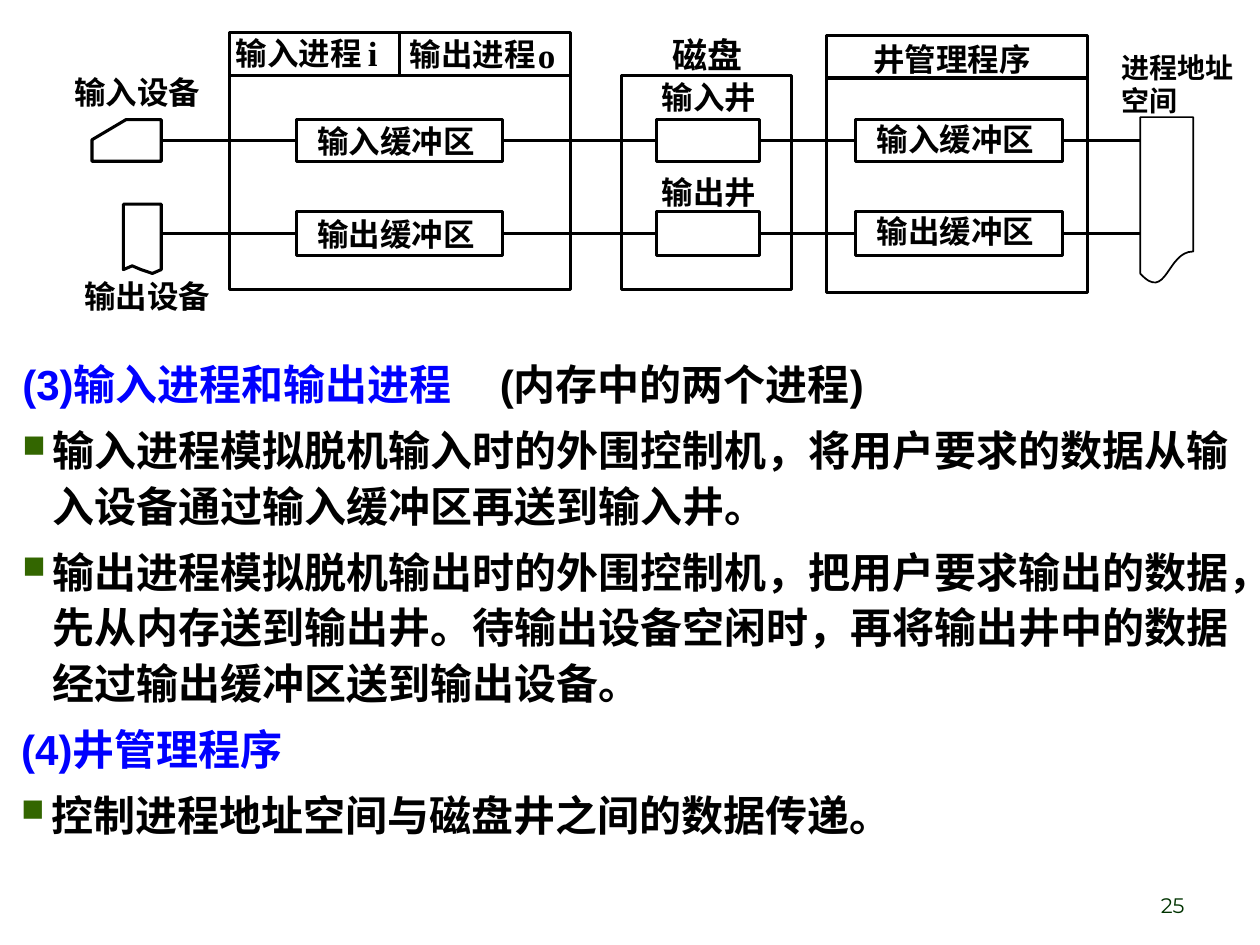
from dataclasses import dataclass

from lxml.etree import SubElement
from pptx import Presentation
from pptx.dml.color import RGBColor
from pptx.enum.shapes import MSO_CONNECTOR as Connector, MSO_SHAPE as Shape
from pptx.enum.text import MSO_ANCHOR as Anchor, PP_ALIGN as Align
from pptx.oxml.ns import qn
from pptx.util import Inches, Pt


@dataclass(frozen=True)
class Theme:
    black: str = "000000"
    white: str = "FFFFFF"
    heading: str = "0000FF"
    bullet: str = "336600"
    page: str = "003300"
    cjk: str = "Noto Sans CJK SC"
    body_font: str = "Arial"
    letter_font: str = "Times New Roman"
    page_font: str = "Montserrat"
    body_size: int = 24
    large_size: int = 20
    label_size: int = 18
    small_size: int = 16
    page_size: int = 12
    line_width: float = 1.75
    thin_width: float = 1


def write(paragraph, text, *, size, font, color, east_asian, bold=True):
    """Add one formatted run to a paragraph."""
    run = paragraph.add_run()
    run.text = text
    run.font.size, run.font.bold, run.font.name = Pt(size), bold, font
    run.font.color.rgb = RGBColor.from_string(color)
    SubElement(run._r.get_or_add_rPr(), qn("a:ea"), typeface=east_asian)


class SlideBuilder:
    def __init__(self, slide, theme):
        self.slide, self.theme = slide, theme

    def outline(self, shape, filled=True, width=None):
        shape.shadow.inherit = False
        if filled:
            shape.fill.solid()
            shape.fill.fore_color.rgb = RGBColor.from_string(self.theme.white)
        else:
            shape.fill.background()
        shape.line.color.rgb = RGBColor.from_string(self.theme.black)
        shape.line.width = Pt(width or self.theme.line_width)
        return shape

    def box(self, *at, kind=Shape.RECTANGLE, filled=True, width=None):
        shape = self.slide.shapes.add_shape(kind, *map(Inches, at))
        return self.outline(shape, filled, width)

    def freeform(self, points):
        (x, y), *rest = [(Inches(x), Inches(y)) for x, y in points]
        builder = self.slide.shapes.build_freeform(x, y)
        builder.add_line_segments(rest, close=True)
        return self.outline(builder.convert_to_shape())

    def connect(self, x1, x2, y, begin=None, end=None):
        """Draw a level line from a box's right side to a box's left side."""
        line = self.slide.shapes.add_connector(
            Connector.STRAIGHT, *map(Inches, (x1, y, x2, y)))
        if begin is not None:
            line.begin_connect(begin, 3)
        if end is not None:
            line.end_connect(end, 1)
        line.line.color.rgb = RGBColor.from_string(self.theme.black)
        line.line.width = Pt(self.theme.line_width)
        SubElement(line._element.spPr, qn("a:effectLst"))

    def text_box(self, at, anchor, inset=True):
        frame = self.slide.shapes.add_textbox(*map(Inches, at)).text_frame
        frame.word_wrap, frame.vertical_anchor = True, anchor
        if not inset:
            frame.margin_left = frame.margin_right = 0
            frame.margin_top = frame.margin_bottom = 0
        return frame

    def label(self, text, *at, size=None, font=None):
        frame = self.text_box(at, Anchor.MIDDLE, inset=False)
        write(frame.paragraphs[0], text, size=size or self.theme.label_size,
              font=font or self.theme.cjk, color=self.theme.black,
              east_asian=self.theme.cjk)

    def page_number(self, text, *at):
        paragraph = self.text_box(at, Anchor.BOTTOM).paragraphs[0]
        paragraph.alignment = Align.RIGHT
        write(paragraph, text, size=self.theme.page_size,
              font=self.theme.page_font, color=self.theme.page,
              east_asian=self.theme.cjk, bold=False)

    def section(self, heading, note, bullets, *at):
        """Write a blue heading, an optional black note and bullets."""
        frame = self.text_box(at, Anchor.TOP)
        style = dict(size=self.theme.body_size, font=self.theme.body_font,
                     east_asian=self.theme.cjk)
        title = frame.paragraphs[0]
        title.line_spacing = 1.1
        write(title, heading, color=self.theme.heading, **style)
        if note:
            tabs = SubElement(title._p.get_or_add_pPr(), qn("a:tabLst"))
            SubElement(tabs, qn("a:tab"), pos=str(Inches(3.79)), algn="l")
            write(title, "\t" + note, color=self.theme.black, **style)
        for bullet in bullets:
            paragraph = frame.add_paragraph()
            self.add_bullet(paragraph)
            paragraph.line_spacing, paragraph.space_before = 1.1, Pt(6)
            write(paragraph, bullet, color=self.theme.black, **style)

    def add_bullet(self, paragraph):
        properties = paragraph._p.get_or_add_pPr()
        properties.set("marL", str(Inches(0.24)))
        properties.set("indent", str(-Inches(0.24)))
        color = SubElement(properties, qn("a:buClr"))
        SubElement(color, qn("a:srgbClr"), val=self.theme.bullet)
        SubElement(properties, qn("a:buSzPct"), val="75000")
        SubElement(properties, qn("a:buChar"), char="■")


def draw_diagram(page):
    theme = page.theme

    # Panels: processes, disk, well manager
    page.box(1.82, 0.6, 2.71, 1.7, filled=False)
    page.box(4.93, 0.6, 1.35, 1.7, filled=False)
    page.box(6.56, 0.62, 2.07, 1.7, filled=False)
    page.box(1.82, 0.26, 1.35, 0.34)
    page.box(3.17, 0.26, 1.36, 0.34)
    page.box(6.56, 0.28, 2.07, 0.34)

    # Devices and address space
    page.freeform([(0.73, 1.28), (1.28, 1.28), (1.28, 0.95), (1, 0.95),
                   (0.73, 1.11)])
    page.freeform([(1.28, 2.14), (1.28, 1.62), (0.98, 1.62), (0.98, 2.14),
                   (1.05, 2.11), (1.12, 2.14), (1.21, 2.17)])
    page.box(9.05, 0.93, 0.42, 1.33, kind=Shape.FLOWCHART_DOCUMENT,
             width=theme.thin_width)

    # Input and output rows: buffer, well, buffer, joined by lines
    rows = [("输入", 0.95, 0.33, 0.97, 0.95, 0.62),
            ("输出", 1.68, 0.35, 1.71, 1.68, 1.37)]
    for name, top, height, left_text, right_text, well_text in rows:
        middle = top + height / 2
        process_buffer = page.box(2.35, top, 1.64, height)
        well = page.box(5.21, top, 0.82, height)
        manager_buffer = page.box(6.79, top, 1.64, height)
        page.connect(1.28, 2.35, middle, end=process_buffer)
        page.connect(3.99, 5.21, middle, process_buffer, well)
        page.connect(6.03, 6.79, middle, well, manager_buffer)
        page.connect(8.43, 9.05, middle, begin=manager_buffer)
        page.label(name + "缓冲区", 2.52, left_text, 1.4, 0.3)
        page.label(name + "缓冲区", 6.96, right_text, 1.4, 0.3)
        page.label(name + "井", 5.25, well_text, 0.85, 0.3)

    # Titles and device names
    page.label("输入进程", 1.87, 0.27, 1.05, 0.3)
    page.label("输出进程", 3.25, 0.28, 1.02, 0.3)
    for letter, left, top in [("i", 2.92, 0.25), ("o", 4.27, 0.27)]:
        page.label(letter, left, top, 0.16, 0.33, size=theme.large_size,
                   font=theme.letter_font)
    page.label("磁盘", 5.34, 0.27, 0.72, 0.33, size=theme.large_size)
    page.label("井管理程序", 6.93, 0.32, 1.38, 0.3)
    page.label("输入设备", 0.59, 0.58, 1.04, 0.3)
    page.label("输出设备", 0.67, 2.2, 1.13, 0.3)
    page.label("进程地址空间", 8.9, 0.4, 0.95, 0.53, size=theme.small_size)


def main():
    presentation = Presentation()
    presentation.slide_width, presentation.slide_height = Inches(10), Inches(7.5)
    slide = presentation.slides.add_slide(presentation.slide_layouts[6])
    page = SlideBuilder(slide, Theme())

    draw_diagram(page)

    # Explanations
    page.section("(3)输入进程和输出进程", "(内存中的两个进程)", [
        "输入进程模拟脱机输入时的外围控制机，将用户要求的数据从输入设备通过输入缓冲区再送到输入井。",
        "输出进程模拟脱机输出时的外围控制机，把用户要求输出的数据，先从内存送到输出井。"
        "待输出设备空闲时，再将输出井中的数据经过输出缓冲区送到输出设备。",
    ], 0.08, 2.76, 10, 2.93)
    page.section("(4)井管理程序", None,
                 ["控制进程地址空间与磁盘井之间的数据传递。"],
                 0.07, 5.65, 9.55, 1.18)
    page.page_number("25", 7.17, 6.83, 2.33, 0.5)

    presentation.save("out.pptx")


if __name__ == "__main__":
    main()
